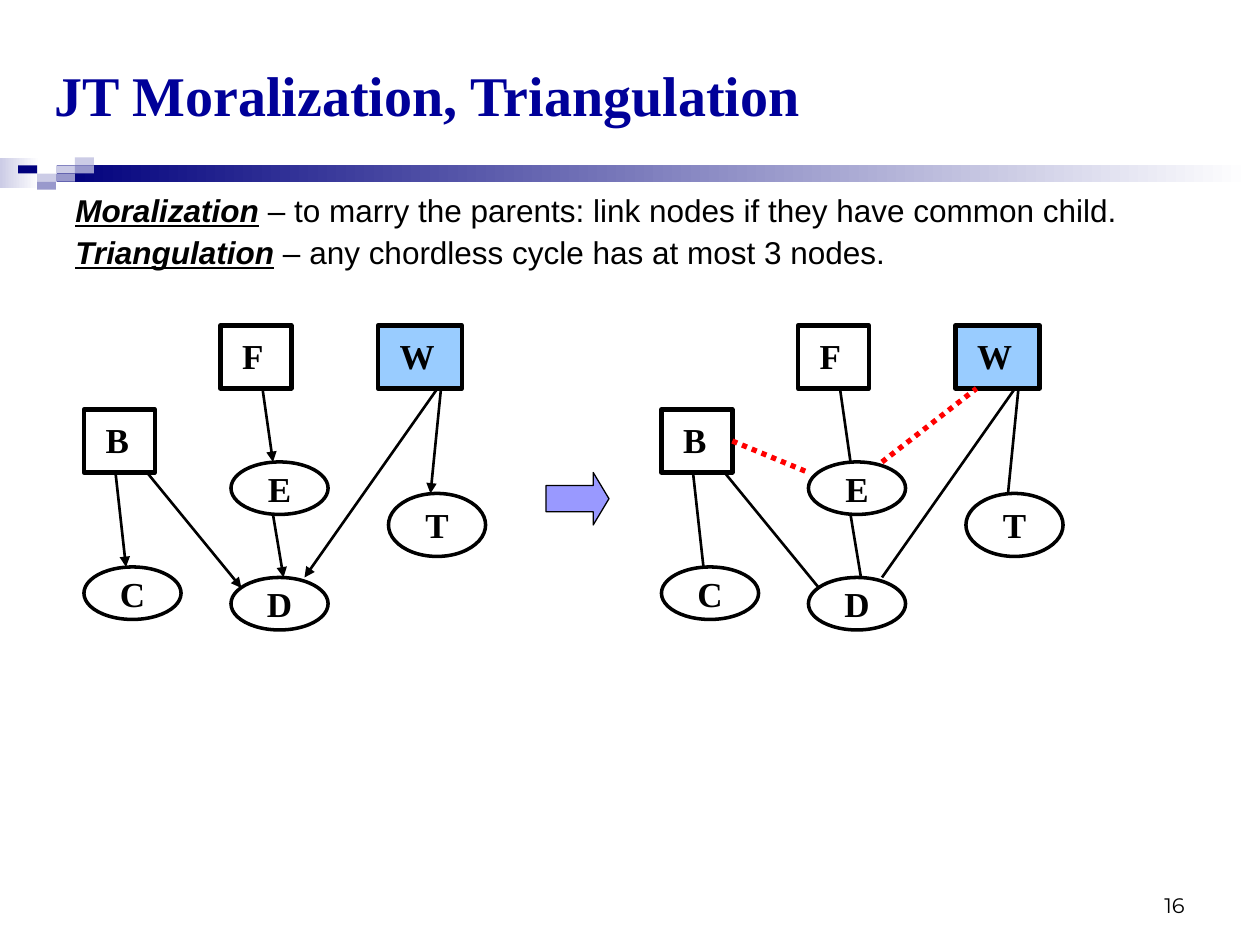
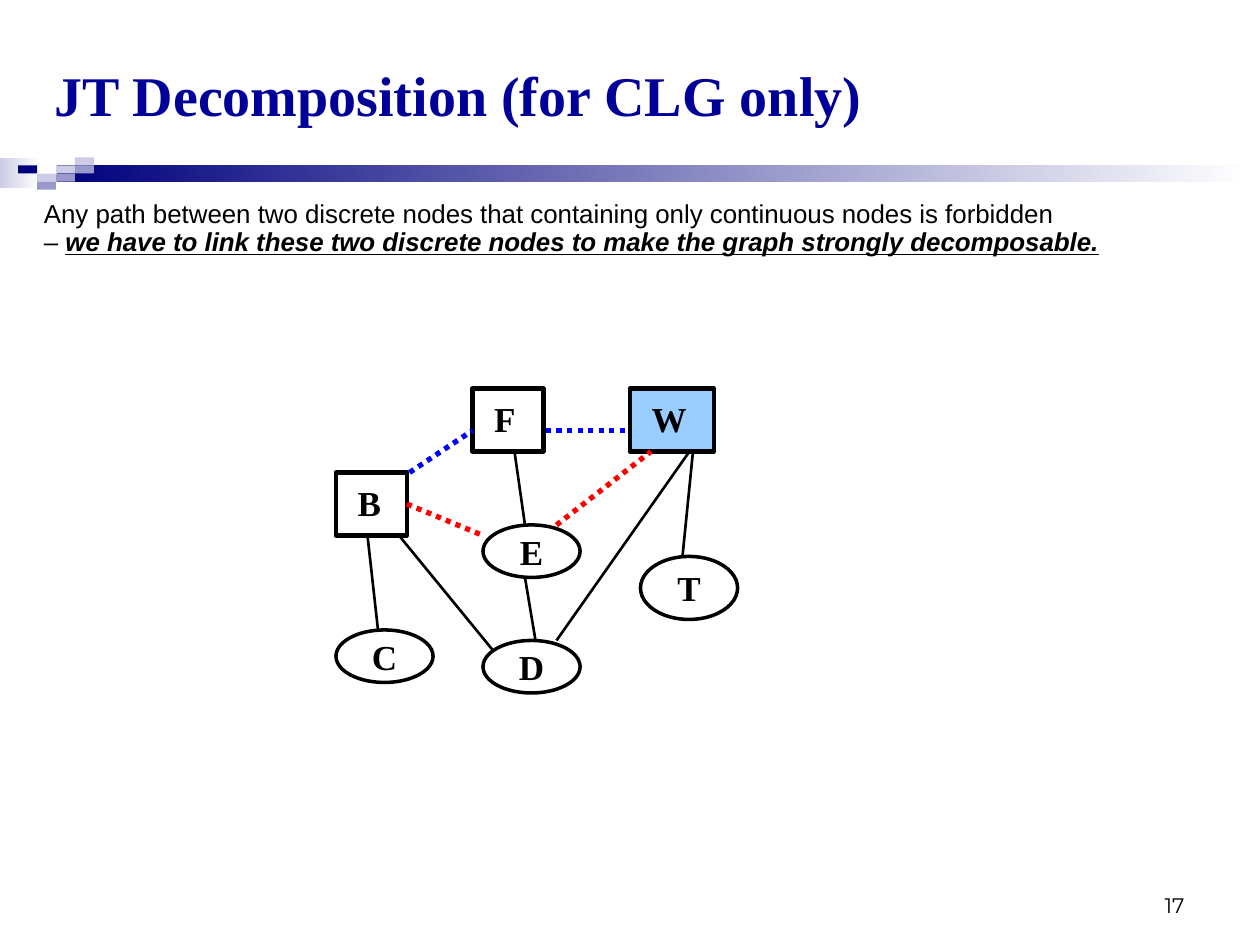
from lxml.etree import SubElement
from pptx import Presentation
from pptx.dml.color import RGBColor
from pptx.enum.dml import MSO_LINE
from pptx.enum.shapes import MSO_CONNECTOR, MSO_SHAPE
from pptx.enum.text import MSO_ANCHOR, PP_ALIGN
from pptx.oxml.ns import qn
from pptx.util import Pt

BLACK = RGBColor(0, 0, 0)
WHITE = RGBColor(255, 255, 255)
RED = RGBColor(255, 0, 0)
BLUE = RGBColor(0, 0, 255)
TITLE = RGBColor(0, 0, 0x99)
NAVY = RGBColor(0, 0, 0x7D)
PALE = RGBColor(0xCC, 0xCC, 0xE6)
MID = RGBColor(0x99, 0x99, 0xCC)
SKY = RGBColor(0x99, 0xCC, 0xFF)
LILAC = RGBColor(0x99, 0x99, 0xFF)

SERIF, SANS, DIGITS = "Times New Roman", "Arial", "Montserrat"

# Column, row and colour of each small tile at the left of the band
TILES = [(2, 1, PALE), (3, 0, PALE), (3, 1, MID), (1, 2, PALE),
         (0, 1, NAVY), (2, 2, MID), (1, 3, MID)]

# Graph places are measured from the graph's own top left corner
BOXES = {"F": (78, 0, 40.5, None), "W": (168, 0, 48, SKY),
         "B": (0, 48, 40.5, None)}
OVALS = {"T": (174, 96, 36), "E": (84, 78, 30),
         "D": (84, 144, 30), "C": (0, 138, 30)}
EDGES = [((102, 36), (108, 78)), ((202, 36), (126, 144)),
         ((108, 108), (114, 144)), ((204, 36), (198, 96)),
         ((18, 84), (24, 138)), ((36, 84), (90, 150))]
PARENTS = [((40.5, 66), (84, 84)), ((126, 78), (180, 36))]
CHAIN = [((42, 48), (78, 24)), ((120, 24), (168, 24))]


class Deck:
    def __init__(self):
        self.prs = Presentation()
        self.prs.slide_width, self.prs.slide_height = Pt(720), Pt(540)
        self.slide = None

    def page(self, title, number):
        self.slide = self.prs.slides.add_slide(self.prs.slide_layouts[6])
        self.band()
        self.text(24, 18, 558, 72, [[(title, False)]], 32, SERIF, TITLE,
                  bold=True, anchor=MSO_ANCHOR.MIDDLE)
        self.text(516, 504, 168, 24, [[(str(number), False)]], 12, DIGITS,
                  align=PP_ALIGN.RIGHT, anchor=MSO_ANCHOR.BOTTOM)

    def band(self):
        self.fade(0, 90, 22.5, 17.5, PALE)
        self.fade(32.4, 94.5, 682, 9.3, NAVY)
        for col, row, color in TILES:
            self.shape(MSO_SHAPE.RECTANGLE, 10.4 + 10.8 * col,
                       90 + 4.6 * row, 10.8, 4.6, color)

    def shape(self, kind, x, y, w, h, fill=None, line=0):
        shape = self.slide.shapes.add_shape(kind, Pt(x), Pt(y), Pt(w), Pt(h))
        shape.shadow.inherit = False
        if fill is None:
            shape.fill.background()
        else:
            shape.fill.solid()
            shape.fill.fore_color.rgb = fill
        if line:
            shape.line.color.rgb = BLACK
            shape.line.width = Pt(line)
        else:
            shape.line.fill.background()
        return shape

    def fade(self, x, y, w, h, color):
        """Rectangle that runs from a colour at the left to white."""
        fill = self.shape(MSO_SHAPE.RECTANGLE, x, y, w, h, color).fill
        fill.gradient()
        fill.gradient_angle = 0
        for stop, shade in zip(fill.gradient_stops, (color, WHITE)):
            stop.color.rgb = shade

    def text(self, x, y, w, h, lines, size, face, color=BLACK, bold=False,
             align=PP_ALIGN.LEFT, anchor=MSO_ANCHOR.TOP, pitch=1, gap=0):
        """Text box; each line is a list of (words, stressed) pairs."""
        box = self.slide.shapes.add_textbox(Pt(x), Pt(y), Pt(w), Pt(h))
        frame = box.text_frame
        frame.word_wrap = True
        frame.vertical_anchor = anchor
        for i, line in enumerate(lines):
            para = frame.add_paragraph() if i else frame.paragraphs[0]
            para.alignment = align
            para.line_spacing = pitch
            para.space_before = Pt(gap if i else 0)
            for words, stress in line:
                run = para.add_run()
                run.text = words
                self.style(run.font, size, face, color, bold or stress)
                run.font.italic = run.font.underline = stress

    def style(self, font, size, face, color, bold):
        font.size, font.name, font.bold = Pt(size), face, bold
        font.color.rgb = color

    def label(self, shape, name, align):
        shape.text_frame.text = name
        para = shape.text_frame.paragraphs[0]
        para.alignment = align
        self.style(para.runs[0].font, 20, SERIF, BLACK, True)

    def box(self, name, x, y, w, fill):
        shape = self.shape(MSO_SHAPE.RECTANGLE, x, y, w, 36, fill, 2.5)
        self.label(shape, name, PP_ALIGN.LEFT)
        frame = shape.text_frame
        frame.vertical_anchor = MSO_ANCHOR.TOP
        frame.margin_left, frame.margin_right = Pt(12.4), Pt(0)
        frame.margin_top = Pt(5.1)
        return shape

    def oval(self, name, x, y, h):
        shape = self.shape(MSO_SHAPE.OVAL, x, y, 55.5, h, line=2)
        self.label(shape, name, PP_ALIGN.CENTER)
        shape.text_frame.word_wrap = False
        shape.text_frame.vertical_anchor = MSO_ANCHOR.MIDDLE

    def link(self, start, end, color=BLACK, width=1.5, dots=False, arrow=False):
        link = self.slide.shapes.add_connector(
            MSO_CONNECTOR.STRAIGHT, *map(Pt, (*start, *end)))
        link.line.color.rgb = color
        link.line.width = Pt(width)
        if dots:
            link.line.dash_style = MSO_LINE.ROUND_DOT
        props = link.element.spPr
        if arrow:
            SubElement(props.find(qn("a:ln")), qn("a:tailEnd"), type="triangle")
        SubElement(props, qn("a:effectLst"))
        return link

    def graph(self, left, top, arrow=False, moral=False, chain=False):
        """Network; moral adds the red links, chain the blue ones."""
        def move(edge):
            return [(left + x, top + y) for x, y in edge]

        boxes = {name: self.box(name, left + x, top + y, w, fill)
                 for name, (x, y, w, fill) in BOXES.items()}
        for name, (x, y, h) in OVALS.items():
            self.oval(name, left + x, top + y, h)
        for edge in EDGES:
            self.link(*move(edge), arrow=arrow)
        if moral:
            links = [self.link(*move(edge), RED, 3, dots=True)
                     for edge in PARENTS]
            links[0].begin_connect(boxes["B"], 3)
        if chain:
            for edge in CHAIN:
                self.link(*move(edge), BLUE, 3, dots=True)


def main():
    deck = Deck()

    deck.page("JT Moralization, Triangulation", 16)
    deck.text(36, 108, 648, 54, [
        [("Moralization", True),
         (" – to marry the parents: link nodes if they have common child.", False)],
        [("Triangulation", True),
         (" – any chordless cycle has at most 3 nodes.", False)],
    ], 18, SANS, pitch=0.9, gap=4.5)
    deck.graph(48, 186, arrow=True)
    deck.graph(378, 186, moral=True)
    arrow = deck.shape(MSO_SHAPE.RIGHT_ARROW, 312, 270, 36, 30, LILAC, 0.75)
    arrow.adjustments[1] = 0.3

    deck.page("JT Decomposition (for CLG only)", 17)
    deck.text(18, 114, 666, 48, [
        [("Any path between two discrete nodes that containing only "
          "continuous nodes is forbidden", False)],
        [("– ", False),
         ("we have to link these two discrete nodes to make the graph "
          "strongly decomposable.", True)],
    ], 14.8, SANS, pitch=0.7, gap=4)
    deck.graph(192, 222, moral=True, chain=True)

    deck.prs.save("out.pptx")


if __name__ == "__main__":
    main()
